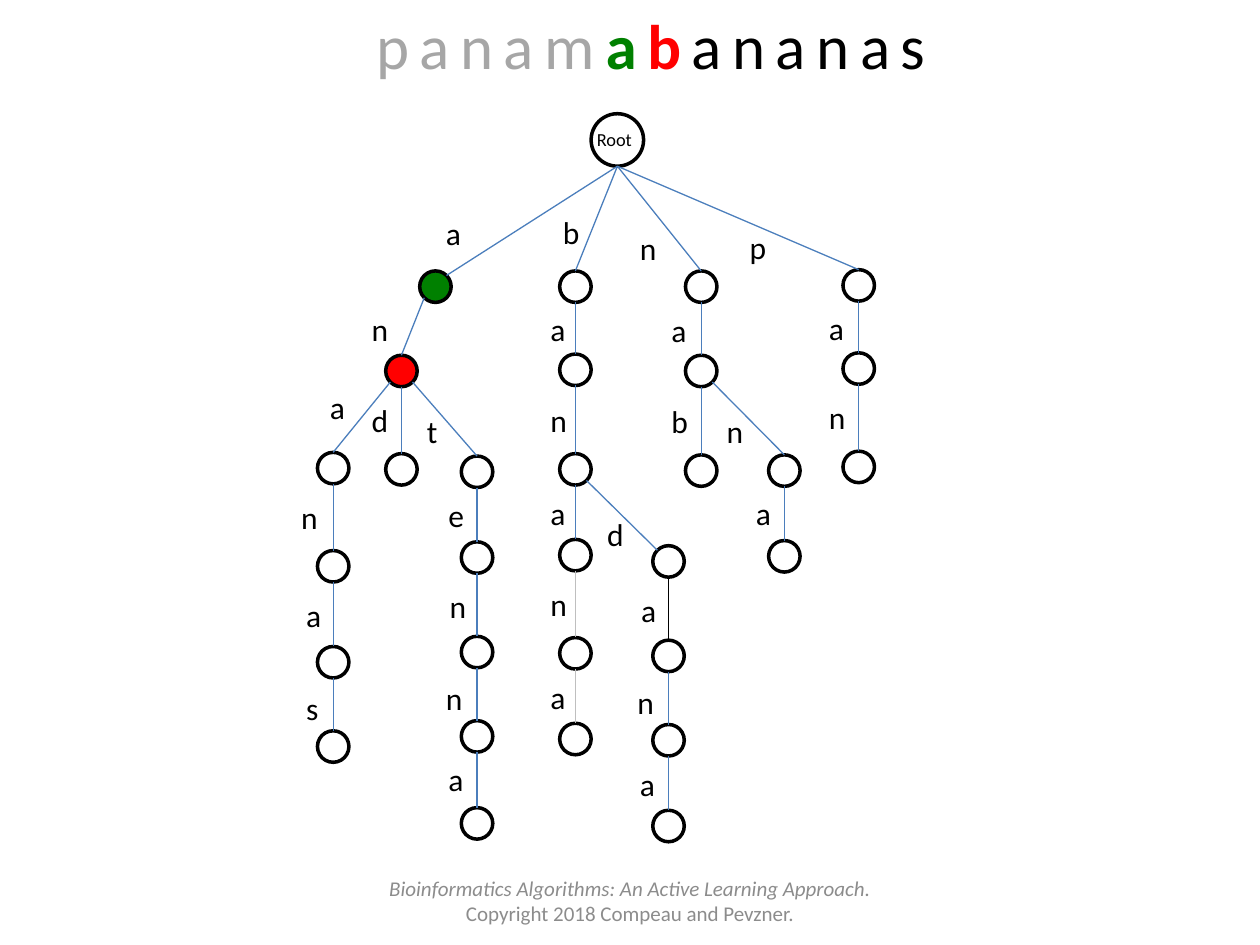
from math import sqrt

from lxml.etree import SubElement
from pptx import Presentation
from pptx.dml.color import RGBColor
from pptx.enum.shapes import MSO_CONNECTOR, MSO_SHAPE
from pptx.enum.text import MSO_ANCHOR, PP_ALIGN
from pptx.oxml.ns import qn
from pptx.util import Pt

BLACK, WHITE, GREEN, RED = "000000", "FFFFFF", "008000", "FF0000"
BLUE, PALE, GREY, FOOTER_GREY = "4B7EBC", "BFBFBF", "A6A6A6", "8C8C8C"

NODE, ROOT, ROOT_X = 18, 30, 187.8
LABEL_WIDTHS = {"a": 23, "s": 21.6, "t": 21}
HIGHLIGHTS = {"a": GREEN, "an": RED}
EDGE_COLORS = {"banan": PALE, "banana": PALE, "banda": BLACK}

# Branches: parent prefix, column centre, side where the first edge enters,
# then (letter, node top, label left, label top) for each step down.
BRANCHES = [
    ("", 83.8, 1, [("a", 89.8, 82.7, 53.8)]),
    ("a", 64.4, 0, [("n", 138, 40.2, 108.5), ("d", 194.2, 40.2, 160.4)]),
    ("an", 25.4, 0, [("a", 193.5, 16.4, 153.2), ("n", 249.6, 0, 215.8),
                     ("a", 304.4, 2.8, 272), ("s", 352.6, 2.8, 325.2)]),
    ("an", 107.6, 0, [("t", 195.6, 71.9, 166.8), ("e", 244.6, 84.1, 215.1),
                      ("n", 298.6, 84.8, 266.9), ("n", 346.8, 82.7, 319.5),
                      ("a", 396.5, 84.1, 365.6)]),
    ("", 163.8, 0, [("b", 89.8, 149.6, 53.1), ("a", 137.3, 142.4, 108.5),
                    ("n", 194.2, 142.4, 160.4), ("a", 243.2, 142.4, 213.6),
                    ("n", 299.3, 142.4, 265.5), ("a", 348.3, 142.4, 318.8)]),
    ("ban", 217, -1, [("d", 246.8, 174.8, 225.9), ("a", 300.8, 194.3, 269.1),
                      ("n", 349, 192.1, 321.6), ("a", 398, 193.6, 368.4)]),
    ("", 235.7, 0, [("n", 89.8, 193.6, 62.4), ("a", 138, 211.6, 109.2),
                    ("b", 194.9, 211.6, 161.1)]),
    ("na", 283.2, 0, [("n", 194.9, 243.2, 166.8), ("a", 243.9, 259.8, 213.6)]),
    ("", 325.7, 0, [("p", 89.1, 256.2, 61.7), ("a", 136.6, 301.6, 107.8),
                    ("n", 192.8, 301.6, 158.9)]),
]


def color(hex_string):
    return RGBColor.from_string(hex_string)


def write(frame, paragraphs, size=18, fill=BLACK, align=PP_ALIGN.LEFT,
          anchor=MSO_ANCHOR.TOP, wrap=True, spacing=0):
    """Fill a frame; each paragraph is a list of (text, font settings)."""
    frame.word_wrap = wrap
    frame.vertical_anchor = anchor
    for index, runs in enumerate(paragraphs):
        paragraph = frame.add_paragraph() if index else frame.paragraphs[0]
        paragraph.alignment = align
        for text, settings in runs:
            run = paragraph.add_run()
            run.text = text
            run.font.name = "Calibri"
            run.font.size = Pt(size)
            run.font.bold = settings.get("bold", False)
            run.font.italic = settings.get("italic", False)
            run.font.color.rgb = color(settings.get("fill", fill))
            if spacing:
                run.font._element.set("spc", str(spacing * 100))


def text_box(slide, left, top, width, height):
    return slide.shapes.add_textbox(Pt(left), Pt(top), Pt(width), Pt(height)).text_frame


def add_node(slide, center, top, size=NODE, fill=WHITE):
    circle = slide.shapes.add_shape(MSO_SHAPE.OVAL, Pt(center - size / 2), Pt(top),
                                    Pt(size), Pt(size))
    circle.shadow.inherit = False
    circle.fill.solid()
    circle.fill.fore_color.rgb = color(fill)
    circle.line.color.rgb = color(BLACK)
    circle.line.width = Pt(2)
    return circle


def rim_point(circle, side, down):
    """Point on a circle: top or bottom for side 0, else the diagonal."""
    radius = circle.width / 2
    reach = radius / sqrt(2) if side else radius
    return (int(circle.left + radius + side * reach),
            int(circle.top + radius + down * reach))


def add_edge(slide, parent, child, exit_side, entry_side, stroke):
    edge = slide.shapes.add_connector(MSO_CONNECTOR.STRAIGHT,
                                      *rim_point(parent, exit_side, 1),
                                      *rim_point(child, entry_side, -1))
    if entry_side == 0:
        edge.end_connect(child, 0)
    edge.line.color.rgb = color(stroke)
    edge.line.width = Pt(0.75)
    SubElement(edge._element.spPr, qn("a:effectLst"))


def add_title(slide, left, top, width, height):
    title = slide.shapes.title
    title.left, title.top, title.width, title.height = map(Pt, (left, top, width, height))
    write(title.text_frame,
          [[("panam", {"fill": GREY}), ("a", {"fill": GREEN, "bold": True}),
            ("b", {"fill": RED, "bold": True}), ("ananas", {})]],
          size=36, align=PP_ALIGN.CENTER, spacing=6)


def add_trie(slide, left, top):
    # Root
    nodes = {"": add_node(slide, left + ROOT_X, top, ROOT)}
    columns = {"": ROOT_X}
    write(text_box(slide, left + 169, top + 5, 39.6, 20), [[("Root", {})]], size=10.5)

    # Branches, each letter extending the prefix of its parent
    for prefix, column, entry_side, steps in BRANCHES:
        for letter, node_top, label_left, label_top in steps:
            word = prefix + letter
            nodes[word] = add_node(slide, left + column, top + node_top,
                                   fill=HIGHLIGHTS.get(word, WHITE))
            columns[word] = column
            shift = column - columns[prefix] if prefix else 0
            exit_side = (shift > 0) - (shift < 0)
            add_edge(slide, nodes[prefix], nodes[word], exit_side, entry_side,
                     EDGE_COLORS.get(word, BLUE))
            label = text_box(slide, left + label_left, top + label_top,
                             LABEL_WIDTHS.get(letter, 24.3), 29)
            write(label, [[(letter, {})]], wrap=False)
            prefix, entry_side = word, 0


def add_copyright(slide, left, top, width, height):
    write(text_box(slide, left, top, width, height),
          [[("Bioinformatics Algorithms: An Active Learning Approach.", {"italic": True})],
           [("Copyright 2018 Compeau and Pevzner.", {})]],
          size=12, fill=FOOTER_GREY, align=PP_ALIGN.CENTER, anchor=MSO_ANCHOR.MIDDLE)


def main():
    presentation = Presentation()
    presentation.slide_width, presentation.slide_height = Pt(720), Pt(540)
    slide = presentation.slides.add_slide(presentation.slide_layouts[5])
    add_trie(slide, 165, 65)
    add_title(slide, 192, 0, 360, 51)
    add_copyright(slide, 204, 500.4, 312, 28.8)
    presentation.save("out.pptx")


if __name__ == "__main__":
    main()
